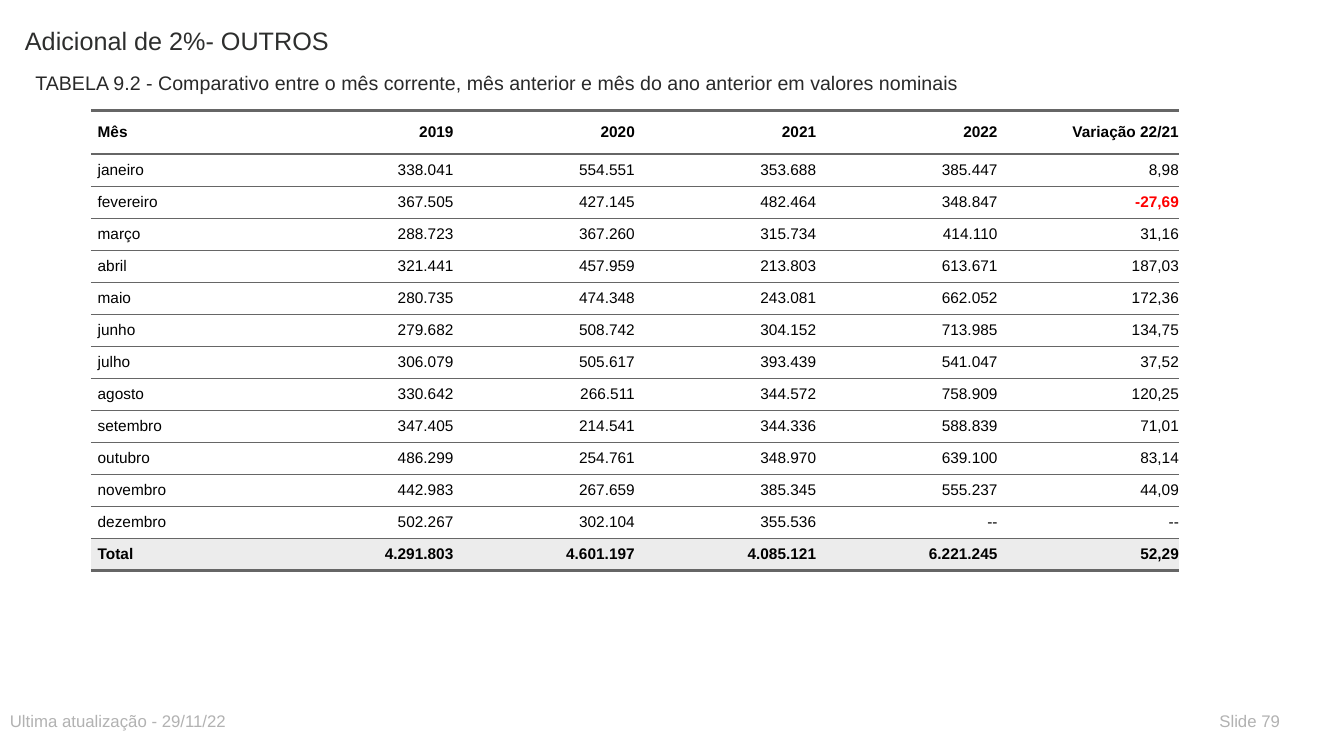
from lxml import etree
from pptx import Presentation
from pptx.dml.color import RGBColor
from pptx.enum.text import MSO_ANCHOR, PP_ALIGN
from pptx.oxml.ns import qn
from pptx.util import Cm, Pt

LEFT, RIGHT = PP_ALIGN.LEFT, PP_ALIGN.RIGHT
TOP, MIDDLE = MSO_ANCHOR.TOP, MSO_ANCHOR.MIDDLE

HEAD = ["Mês", "2019", "2020", "2021", "2022", "Variação 22/21"]
MONTHS = [
    ["janeiro", "338.041", "554.551", "353.688", "385.447", "8,98"],
    ["fevereiro", "367.505", "427.145", "482.464", "348.847", "-27,69"],
    ["março", "288.723", "367.260", "315.734", "414.110", "31,16"],
    ["abril", "321.441", "457.959", "213.803", "613.671", "187,03"],
    ["maio", "280.735", "474.348", "243.081", "662.052", "172,36"],
    ["junho", "279.682", "508.742", "304.152", "713.985", "134,75"],
    ["julho", "306.079", "505.617", "393.439", "541.047", "37,52"],
    ["agosto", "330.642", "266.511", "344.572", "758.909", "120,25"],
    ["setembro", "347.405", "214.541", "344.336", "588.839", "71,01"],
    ["outubro", "486.299", "254.761", "348.970", "639.100", "83,14"],
    ["novembro", "442.983", "267.659", "385.345", "555.237", "44,09"],
    ["dezembro", "502.267", "302.104", "355.536", "--", "--"],
]
TOTAL = ["Total", "4.291.803", "4.601.197", "4.085.121", "6.221.245", "52,29"]


def color(code):
    return RGBColor.from_string(code)


class Page:
    font = "Arial"
    rule = "666666"
    thick, thin = 2, 0.5
    pad = 0.17

    def __init__(self, deck):
        self.slide = deck.slides.add_slide(deck.slide_layouts[6])

    def style(self, frame, size, ink, bold=False, align=LEFT):
        para = frame.paragraphs[0]
        para.alignment = align
        for run in para.runs:
            run.font.name = self.font
            run.font.size = Pt(size)
            run.font.bold = bold
            run.font.color.rgb = color(ink)

    def text(self, words, x, y, w, h, size, ink):
        box = self.slide.shapes.add_textbox(Cm(x), Cm(y), Cm(w), Cm(h))
        frame = box.text_frame
        frame.word_wrap = True
        frame.vertical_anchor = TOP
        frame.text = words
        self.style(frame, size, ink)

    def edge(self, cell, side, width=0):
        props = cell._tc.get_or_add_tcPr()
        line = etree.SubElement(props, qn("a:ln" + side), w=str(int(Pt(width))))
        if width:
            fill = etree.SubElement(line, qn("a:solidFill"))
            etree.SubElement(fill, qn("a:srgbClr"), val=self.rule)
        else:
            etree.SubElement(line, qn("a:noFill"))

    def cell(self, cell, words, align, bold, ink, back, above, below):
        cell.margin_left = cell.margin_top = cell.margin_bottom = Cm(self.pad)
        cell.margin_right = 0
        cell.vertical_anchor = MIDDLE
        cell.text_frame.text = words
        self.style(cell.text_frame, 11, ink, bold, align)
        for side, width in (("L", 0), ("R", 0), ("T", above), ("B", below)):
            self.edge(cell, side, width)
        cell.fill.solid()
        cell.fill.fore_color.rgb = color(back)

    def table(self, rows, x, y, wide, head, body):
        last = len(rows) - 1
        cols = len(rows[0])
        frame = self.slide.shapes.add_table(
            len(rows), cols, Cm(x), Cm(y), Cm(wide * cols), Cm(head + body))
        grid = frame.table
        grid.horz_banding = False
        for col in grid.columns:
            col.width = Cm(wide)
        for r, row in enumerate(rows):
            grid.rows[r].height = Cm(body / last if r else head)
            above = self.thick if r < 2 else self.thin
            below = self.thick if r in (0, last) else self.thin
            back = "ECECEC" if r == last else "FFFFFF"
            for c, words in enumerate(row):
                drop = words.startswith("-") and words != "--"
                self.cell(grid.cell(r, c), words, RIGHT if c else LEFT,
                          drop or r in (0, last),
                          "FF0000" if drop else "000000", back, above, below)


def main():
    deck = Presentation()
    deck.slide_width, deck.slide_height = Cm(33.87), Cm(19.05)
    page = Page(deck)
    page.text("Adicional de 2%- OUTROS", 0.38, 0.51, 20.32, 1.5, 18, "2D2E2D")
    page.text("TABELA 9.2 - Comparativo entre o mês corrente, mês anterior "
              "e mês do ano anterior em valores nominais",
              0.64, 1.65, 25.4, 0.76, 14, "292929")
    page.table([HEAD, *MONTHS, TOTAL], 2.29, 2.79, 4.57, 1.09, 10.2)
    page.text("Ultima atualização - 29/11/22", 0, 17.78, 16.51, 0.76, 12, "B2B2B2")
    page.text("Slide 79", 30.48, 17.78, 2.29, 0.76, 12, "B2B2B2")
    deck.save("out.pptx")


if __name__ == "__main__":
    main()
